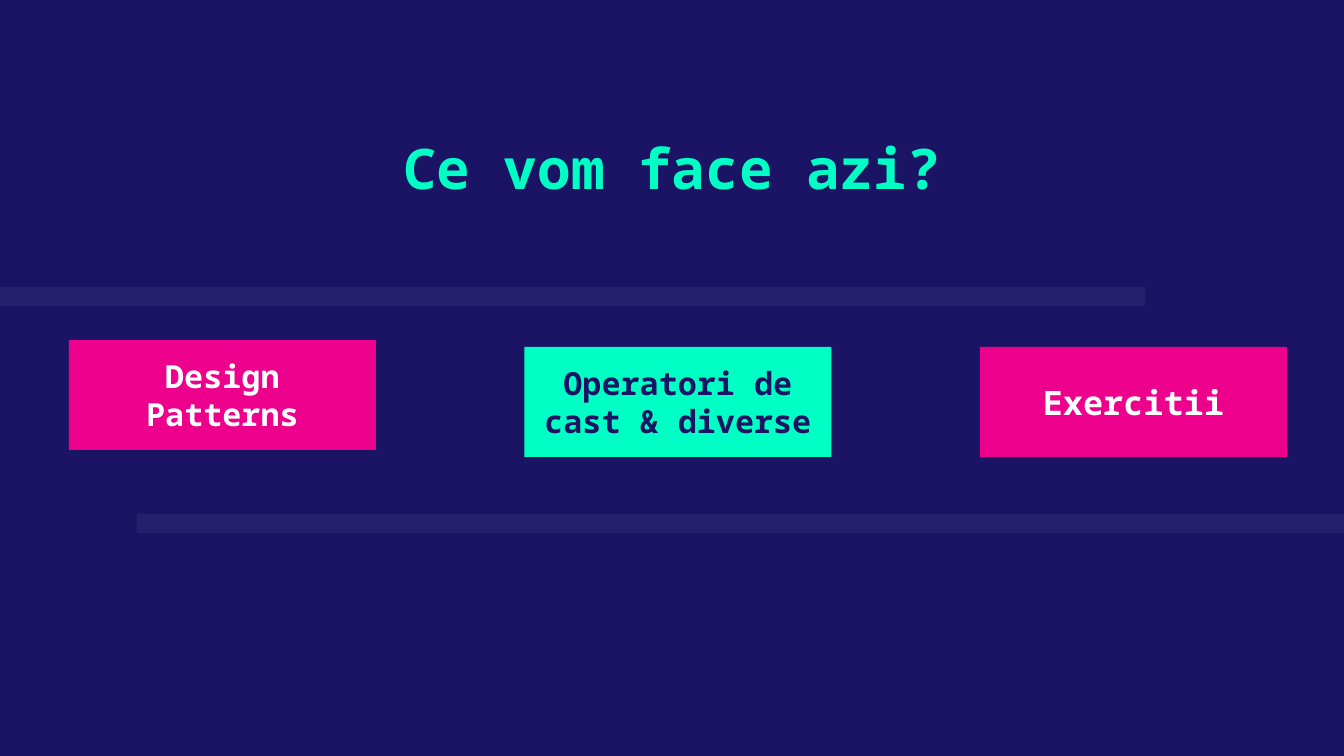
from pptx import Presentation
from pptx.dml.color import RGBColor
from pptx.enum.shapes import MSO_SHAPE as SHAPE
from pptx.enum.text import MSO_ANCHOR as ANCHOR, PP_ALIGN as ALIGN
from pptx.oxml.ns import qn
from pptx.util import Pt
from lxml.etree import SubElement

PX = 914400 / 134.4
FONT = "Noto Sans Mono"
NAVY, MINT, PINK, WHITE = "1B1464", "00FFC5", "EC008C", "FFFFFF"


def px(n):
    return round(n * PX)


def rgb(color):
    return RGBColor.from_string(color)


def write(sp, text, size, color):
    tf = sp.text_frame
    tf.word_wrap = True
    tf.vertical_anchor = ANCHOR.MIDDLE
    tf.margin_left = tf.margin_right = tf.margin_top = tf.margin_bottom = px(13)
    p = tf.paragraphs[0]
    p.text = text
    p.alignment = ALIGN.CENTER
    p.font.name, p.font.size, p.font.bold = FONT, Pt(size), True
    p.font.color.rgb = rgb(color)


def add_rect(s, x, y, w, h, color):
    sp = s.shapes.add_shape(SHAPE.RECTANGLE, px(x), px(y), px(w), px(h))
    sp.shadow.inherit = False
    sp.fill.solid()
    sp.fill.fore_color.rgb = rgb(color)
    sp.line.fill.background()
    return sp


def add_bar(s, x, y, w, h):
    sp = add_rect(s, x, y, w, h, WHITE)
    clr = sp.element.spPr.find(qn("a:solidFill")).find(qn("a:srgbClr"))
    SubElement(clr, qn("a:alpha")).set("val", "5000")


def add_title(s, x, y, w, h, text):
    sp = s.shapes.title
    sp.left, sp.top, sp.width, sp.height = px(x), px(y), px(w), px(h)
    write(sp, text, 30, MINT)


def add_cards(s, x, y, w, h, cards):
    card_w, card_h = 307, 110
    pitch = (w - card_w) / (len(cards) - 1)
    for i, (text, size, fill, color, drop) in enumerate(cards):
        sp = add_rect(s, x + i * pitch, y + drop, card_w, card_h, fill)
        write(sp, text, size, color)


def main():
    prs = Presentation()
    prs.slide_width, prs.slide_height = px(1344), px(756)
    s = prs.slides.add_slide(prs.slide_layouts[5])
    s.background.fill.solid()
    s.background.fill.fore_color.rgb = rgb(NAVY)

    add_bar(s, 0, 287, 1145, 19)
    add_bar(s, 137, 514, 1207, 19)
    add_title(s, 188, 118, 968, 98, "Ce vom face azi?")
    add_cards(s, 69, 340, 1218, 117, [
        ("Design Patterns", 17, PINK, WHITE, 0),
        ("Operatori de cast & diverse", 17, MINT, NAVY, 7),
        ("Exercitii", 18, PINK, WHITE, 7),
    ])
    prs.save("out.pptx")


if __name__ == "__main__":
    main()
